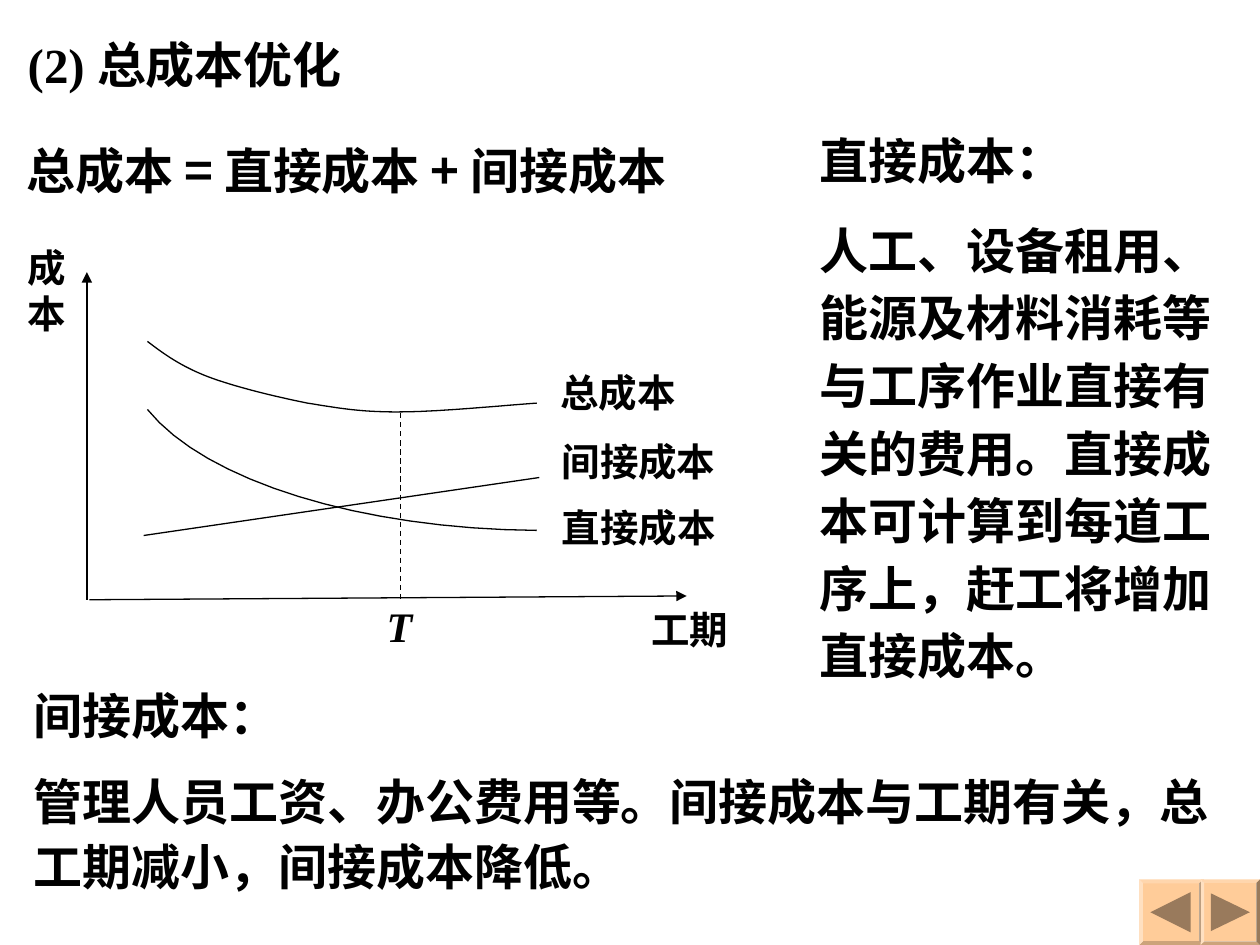
from dataclasses import dataclass

from lxml import etree
from pptx import Presentation
from pptx.dml.color import RGBColor
from pptx.enum.dml import MSO_LINE
from pptx.enum.shapes import MSO_CONNECTOR, MSO_SHAPE
from pptx.enum.text import MSO_ANCHOR, MSO_AUTO_SIZE, PP_ALIGN
from pptx.oxml.ns import qn
from pptx.util import Inches, Pt

STRAIGHT = MSO_CONNECTOR.STRAIGHT
BEVEL = MSO_SHAPE.BEVEL
DASH = MSO_LINE.DASH
LEFT, TOP, NO_FIT = PP_ALIGN.LEFT, MSO_ANCHOR.TOP, MSO_AUTO_SIZE.NONE
TITLE_ONLY = 5


@dataclass(frozen=True)
class Theme:
    ink: RGBColor = RGBColor(0x00, 0x00, 0x00)
    button: RGBColor = RGBColor(0xFF, 0xCC, 0x99)
    arrow: RGBColor = RGBColor(0x99, 0x7A, 0x5C)
    latin: str = "Times New Roman"
    cjk: str = "Noto Sans CJK SC"
    body: Pt = Pt(28)
    label: Pt = Pt(22)
    symbol: Pt = Pt(24)
    line: Pt = Pt(0.75)


theme = Theme()


def write(shape, pieces, size, spacing=None, wrap=True, italic=False):
    """Fill a text shape with one paragraph made of (text, font) pieces."""
    frame = shape.text_frame
    frame.word_wrap = wrap
    frame.auto_size = NO_FIT
    frame.vertical_anchor = TOP
    paragraph = frame.paragraphs[0]
    paragraph.alignment = LEFT
    if spacing:
        paragraph.line_spacing = spacing
    font = paragraph.font
    font.name, font.size = theme.latin, size
    font.bold, font.italic = True, italic
    font.color.rgb = theme.ink
    latin = paragraph._p.pPr.find(qn("a:defRPr")).find(qn("a:latin"))
    east_asian = etree.Element(qn("a:ea"), typeface=theme.cjk)
    latin.addnext(east_asian)
    for text, name in pieces:
        run = paragraph.add_run()
        run.text = text
        if name != theme.latin:
            run.font.name = name


def bezier(start, *segments, steps=16):
    """Return points along a chain of cubic curves."""
    points = [start]
    for c1, c2, end in segments:
        begin = points[-1]
        for step in range(1, steps + 1):
            t = step / steps
            u = 1 - t
            points.append(tuple(
                u**3 * a + 3 * u * u * t * b + 3 * u * t * t * c + t**3 * d
                for a, b, c, d in zip(begin, c1, c2, end)))
    return points


prs = Presentation()
prs.slide_width, prs.slide_height = Inches(10), Inches(7.5)
slide = prs.slides.add_slide(prs.slide_layouts[TITLE_ONLY])
shapes = slide.shapes

# Faces of the previous and next buttons
for left, width in ((9.04, 0.51), (9.53, 0.47)):
    button = shapes.add_shape(BEVEL, Inches(left), Inches(6.98), Inches(width), Inches(0.52))
    button.adjustments[0] = 0.06
    button.shadow.inherit = False
    button.fill.solid()
    button.fill.fore_color.rgb = theme.button
    button.line.fill.background()

# Heading, formula and explanations
title = shapes.title
title.left, title.top = Inches(0.12), Inches(0.22)
title.width, title.height = Inches(3.26), Inches(0.57)
write(title, [("(2) 总成本优化", theme.latin)], theme.body)

formula = shapes.add_textbox(Inches(0.11), Inches(1.07), Inches(5.78), Inches(0.57))
write(formula, [("总成本 ", theme.latin), ("= ", theme.cjk), ("直接成本 ", theme.latin),
                ("+ ", theme.cjk), ("间接成本", theme.latin)], theme.body)

explanations = [
    ("直接成本：", 6.41, 0.99, 2.2, 0.57, None),
    ("人工、设备租用、能源及材料消耗等与工序作业直接有关的费用。"
     "直接成本可计算到每道工序上，赶工将增加直接成本。", 6.41, 1.63, 3.43, 3.86, 1.15),
    ("间接成本：", 0.17, 5.39, 2.2, 0.57, None),
    ("管理人员工资、办公费用等。间接成本与工期有关，总工期减小，间接成本降低。",
     0.17, 6.03, 9.64, 1.13, 1.1),
]
for text, left, top, width, height, spacing in explanations:
    box = shapes.add_textbox(Inches(left), Inches(top), Inches(width), Inches(height))
    write(box, [(text, theme.latin)], theme.body, spacing)

# Axes, indirect cost line and optimum marker
straight_lines = [
    ((0.71, 4.76), (5.45, 4.73), True, False),
    ((0.69, 4.76), (0.69, 2.16), True, False),
    ((1.14, 4.25), (4.28, 3.79), False, False),
    ((3.18, 3.28), (3.18, 4.76), False, True),
]
for start, end, has_head, dashed in straight_lines:
    line = shapes.add_connector(STRAIGHT, *map(Inches, start + end))
    line.line.color.rgb = theme.ink
    line.line.width = theme.line
    if dashed:
        line.line.dash_style = DASH
    if has_head:
        etree.SubElement(line.line._get_or_add_ln(), qn("a:tailEnd"), type="triangle")
    etree.SubElement(line._element.spPr, qn("a:effectLst"))

# Cost curves and button arrows
direct_cost = bezier((4.26, 4.21), ((2.87, 4.2), (1.63, 3.82), (1.17, 3.25)))
total_cost = bezier(
    (1.17, 2.71),
    ((1.3, 2.81), (1.44, 2.91), (1.65, 2.99)),
    ((1.86, 3.07), (2.19, 3.15), (2.44, 3.2)),
    ((2.69, 3.24), (2.85, 3.27), (3.15, 3.27)),
    ((3.46, 3.27), (3.86, 3.23), (4.26, 3.2)),
)
previous_arrow = [(9.13, 7.24), (9.45, 7.08), (9.45, 7.4)]
next_arrow = [(9.61, 7.09), (9.92, 7.24), (9.61, 7.39)]
outlines = [(direct_cost, False), (total_cost, False),
            (previous_arrow, True), (next_arrow, True)]
for points, filled in outlines:
    start, *rest = [(Inches(x), Inches(y)) for x, y in points]
    builder = shapes.build_freeform(*start)
    builder.add_line_segments(rest, close=filled)
    outline = builder.convert_to_shape()
    outline.shadow.inherit = False
    if filled:
        outline.fill.solid()
        outline.fill.fore_color.rgb = theme.arrow
        outline.line.fill.background()
    else:
        outline.fill.background()
        outline.line.color.rgb = theme.ink
        outline.line.width = theme.line

# Diagram labels
labels = [
    ("总成本", 4.35, 2.88, 1.28, 0.47, True),
    ("间接成本", 4.36, 3.43, 1.43, 0.47, True),
    ("直接成本", 4.36, 3.95, 1.58, 0.47, True),
    ("工期", 5.07, 4.76, 0.81, 0.47, False),
    ("成本", 0.12, 1.89, 0.6, 0.84, True),
]
for text, left, top, width, height, wrap in labels:
    box = shapes.add_textbox(Inches(left), Inches(top), Inches(width), Inches(height))
    write(box, [(text, theme.latin)], theme.label, wrap=wrap)

optimum = shapes.add_textbox(Inches(2.97), Inches(4.72), Inches(0.4), Inches(0.5))
write(optimum, [("T", theme.latin)], theme.symbol, wrap=False, italic=True)

prs.save("out.pptx")
